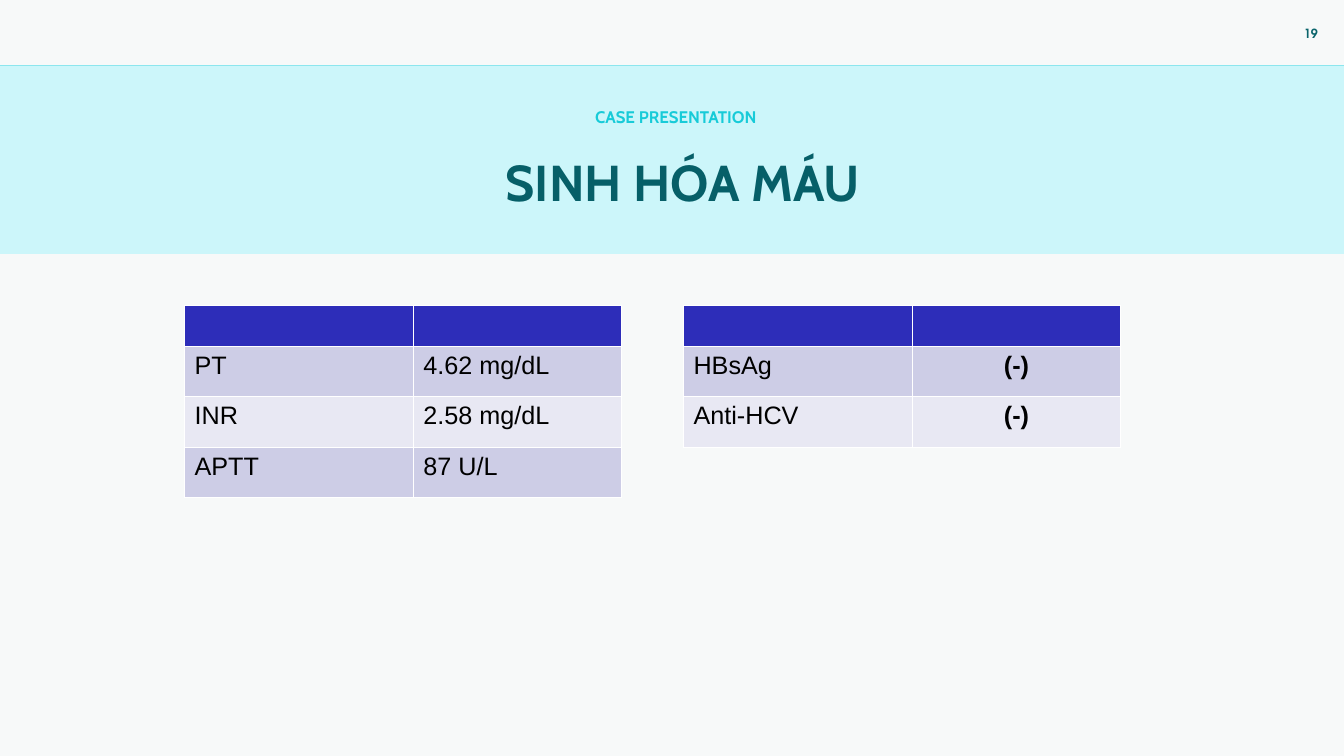
from lxml.etree import SubElement
from pptx import Presentation
from pptx.dml.color import RGBColor
from pptx.enum.shapes import MSO_CONNECTOR as Connector, MSO_SHAPE as Shape
from pptx.enum.text import PP_ALIGN as Align
from pptx.oxml.ns import qn
from pptx.util import Pt

PAPER = RGBColor(0xF7, 0xF9, 0xF9)
AQUA = RGBColor(0xCC, 0xF6, 0xFA)
CYAN = RGBColor(0x17, 0xCB, 0xD8)
TEAL = RGBColor(0x06, 0x5F, 0x68)
NUMBER_TEAL = RGBColor(0x0B, 0x65, 0x6C)
HEADER = RGBColor(0x2D, 0x2D, 0xB9)
BANDS = RGBColor(0xCD, 0xCD, 0xE6), RGBColor(0xE8, 0xE8, 0xF3)
BLACK = RGBColor(0, 0, 0)
WHITE = RGBColor(0xFF, 0xFF, 0xFF)

WIDTH, HEIGHT = 960, 540
BAND_TOP, BAND_HEIGHT = 46.8, 134.6
TABLE_TOP = 218.2
COLUMNS = 163.4, 149
HEADER_ROW, BODY_ROW = 29.2, 36


class SlideBuilder:
    heading_font = "Cabin"
    number_font = "TeX Gyre Adventor"
    table_font = "Arial"
    line_width = 0.75

    def __init__(self, prs):
        self.s = prs.slides.add_slide(prs.slide_layouts[6])
        fill = self.s.background.fill
        fill.solid()
        fill.fore_color.rgb = PAPER

    def style(self, p, size, font, color, bold=True, align=Align.CENTER):
        p.alignment = align
        p.font.size = Pt(size)
        p.font.name = font
        p.font.color.rgb = color
        p.font.bold = bold

    def rule(self, y, color):
        """Draw a horizontal line across the whole slide."""
        line = self.s.shapes.add_connector(
            Connector.STRAIGHT, 0, Pt(y), Pt(WIDTH), Pt(y))
        line.line.color.rgb = color
        line.line.width = Pt(self.line_width)
        SubElement(line._element.spPr, qn("a:effectLst"))

    def band(self, y, height, color):
        """Fill a full-width strip of the slide."""
        sp = self.s.shapes.add_shape(
            Shape.RECTANGLE, 0, Pt(y), Pt(WIDTH), Pt(height))
        sp.shadow.inherit = False
        sp.fill.solid()
        sp.fill.fore_color.rgb = color
        sp.line.fill.background()

    def text(self, text, x, y, width, height, size, font, color):
        sp = self.s.shapes.add_textbox(Pt(x), Pt(y), Pt(width), Pt(height))
        tf = sp.text_frame
        tf.word_wrap = True
        p = tf.paragraphs[0]
        p.text = text
        self.style(p, size, font, color)

    def cell_borders(self, cell, color):
        tcPr = cell._tc.get_or_add_tcPr()
        for i, side in enumerate(("lnL", "lnR", "lnT", "lnB")):
            ln = tcPr.makeelement(qn(f"a:{side}"), {"w": str(Pt(self.line_width))})
            fill = SubElement(ln, qn("a:solidFill"))
            SubElement(fill, qn("a:srgbClr"), val=str(color))
            tcPr.insert(i, ln)

    def table(self, x, y, results, centre_values=False):
        """Add a table of name and value rows under an empty header row."""
        rows = [("", ""), *results]
        height = HEADER_ROW + BODY_ROW * len(results)
        table = self.s.shapes.add_table(
            len(rows), len(COLUMNS), Pt(x), Pt(y), Pt(sum(COLUMNS)), Pt(height)).table
        table.first_row = table.horz_banding = False
        for column, width in zip(table.columns, COLUMNS):
            column.width = Pt(width)
        for r, row in enumerate(rows):
            table.rows[r].height = Pt(BODY_ROW if r else HEADER_ROW)
            for c, value in enumerate(row):
                cell = table.cell(r, c)
                cell.fill.solid()
                cell.fill.fore_color.rgb = BANDS[(r - 1) % 2] if r else HEADER
                self.cell_borders(cell, WHITE)
                if value:
                    strong = centre_values and c == 1
                    p = cell.text_frame.paragraphs[0]
                    p.text = value
                    self.style(p, 18, self.table_font, BLACK, strong,
                               Align.CENTER if strong else Align.LEFT)


def main():
    prs = Presentation()
    prs.slide_width, prs.slide_height = Pt(WIDTH), Pt(HEIGHT)
    b = SlideBuilder(prs)
    b.rule(BAND_TOP, CYAN)
    b.text("19", 920.2, 15.1, 32.4, 19.4, 9, b.number_font, NUMBER_TEAL)
    b.band(BAND_TOP, BAND_HEIGHT, AQUA)
    b.text("SINH HÓA MÁU", 336.2, 104.4, 303.1, 51.1, 36, b.heading_font, TEAL)
    b.text("CASE PRESENTATION", 131.8, 72.7, 702, 21.6, 12, b.heading_font, CYAN)
    b.table(131.8, TABLE_TOP,
            [("PT", "4.62 mg/dL"), ("INR", "2.58 mg/dL"), ("APTT", "87 U/L")])
    b.table(488.2, TABLE_TOP, [("HBsAg", "(-)"), ("Anti-HCV", "(-)")],
            centre_values=True)
    prs.save("out.pptx")


if __name__ == "__main__":
    main()
